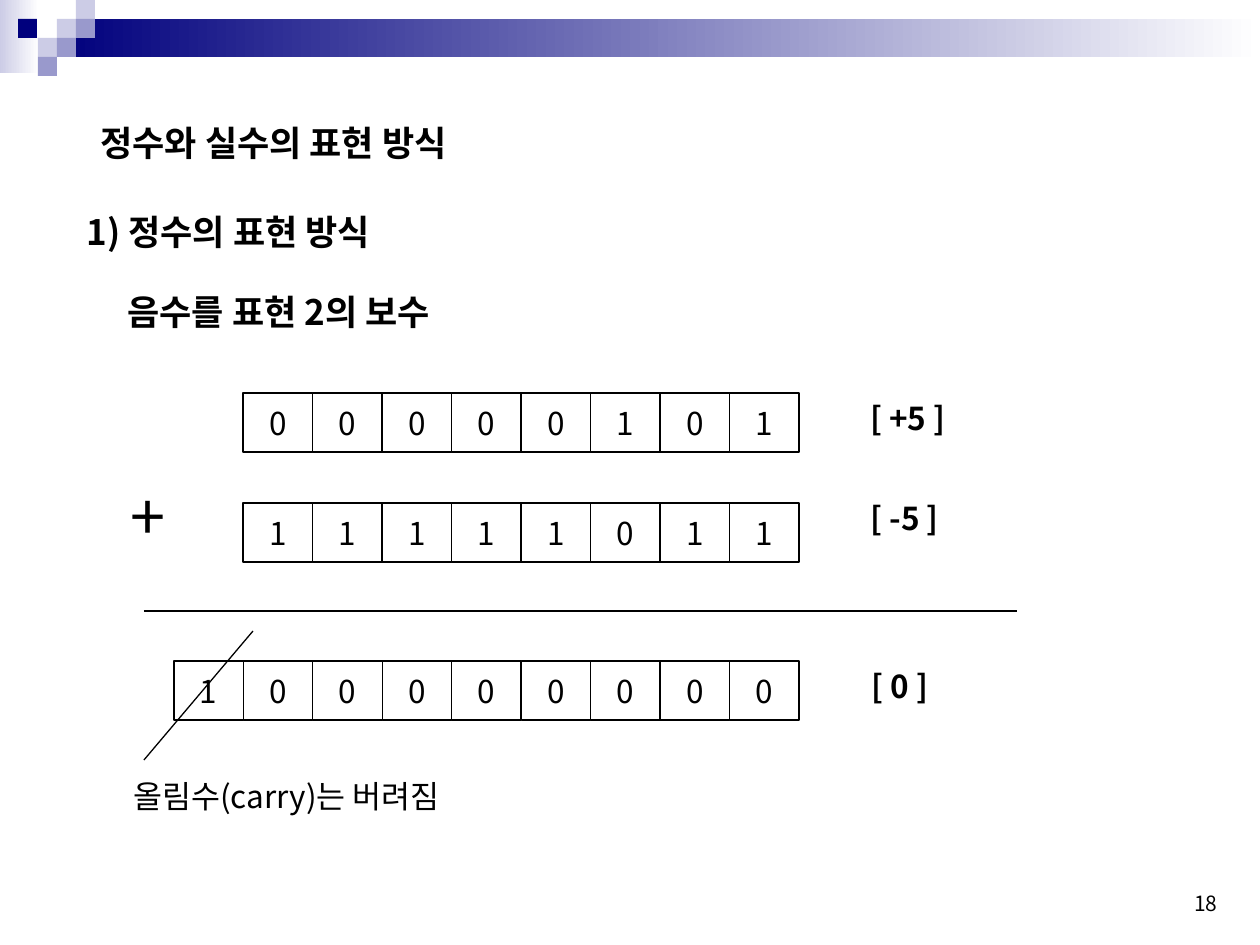
from lxml import etree
from pptx import Presentation
from pptx.dml.color import RGBColor
from pptx.enum.shapes import MSO_CONNECTOR, MSO_SHAPE
from pptx.enum.text import MSO_ANCHOR, MSO_AUTO_SIZE, PP_ALIGN
from pptx.oxml.ns import qn
from pptx.util import Pt

RECT = MSO_SHAPE.RECTANGLE
LINE = MSO_CONNECTOR.STRAIGHT
TOP, MID, LOW = MSO_ANCHOR.TOP, MSO_ANCHOR.MIDDLE, MSO_ANCHOR.BOTTOM
LEFT, MIDST, RIGHT = PP_ALIGN.LEFT, PP_ALIGN.CENTER, PP_ALIGN.RIGHT
GROW, FIXED = MSO_AUTO_SIZE.SHAPE_TO_FIT_TEXT, MSO_AUTO_SIZE.NONE

FONT = "Noto Sans CJK KR"
HUES = {"ink": "000000", "paper": "FFFFFF", "navy": "00007D",
        "mid": "9999CC", "pale": "CCCCE6"}
PX = 914400 / 126


def emu(px):
    return round(px * PX)


def hue(name):
    return RGBColor.from_string(HUES[name])


class Board:
    def __init__(self, slide):
        self.slide = slide
        self.shapes = slide.shapes

    def rect(self, box, fill, fade=None, edge=None):
        shape = self.shapes.add_shape(RECT, *map(emu, box))
        shape.shadow.inherit = False
        if fade:
            shape.fill.gradient()
            shape.fill.gradient_angle = 0
            for stop, name in zip(shape.fill.gradient_stops, (fill, fade)):
                stop.color.rgb = hue(name)
        else:
            shape.fill.solid()
            shape.fill.fore_color.rgb = hue(fill)
        if edge:
            shape.line.color.rgb = hue(edge)
            shape.line.width = Pt(0.75)
        else:
            shape.line.fill.background()
        return shape

    def text(self, shape, words, size, bold=False, align=LEFT, anchor=TOP):
        frame = shape.text_frame
        frame.vertical_anchor = anchor
        para = frame.paragraphs[0]
        para.alignment = align
        run = para.add_run()
        run.text = words
        font = run.font
        font.size, font.bold, font.name = Pt(size), bold, FONT
        font.color.rgb = hue("ink")
        east = etree.SubElement(run._r.get_or_add_rPr(), qn("a:ea"))
        east.set("typeface", FONT)

    def label(self, box, words, size, bold=False):
        shape = self.shapes.add_textbox(*map(emu, box))
        shape.text_frame.word_wrap = False
        shape.text_frame.auto_size = GROW
        self.text(shape, words, size, bold)

    def number(self, box, words):
        shape = self.shapes.add_textbox(*map(emu, box))
        shape.text_frame.word_wrap = True
        shape.text_frame.auto_size = FIXED
        self.text(shape, words, 12, align=RIGHT, anchor=LOW)

    def bits(self, left, top, wide, digits):
        step = wide / len(digits)
        for i, digit in enumerate(digits):
            cell = self.rect((left + i * step, top, step, 59), "paper", edge="ink")
            cell.text_frame.word_wrap = False
            self.text(cell, digit, 18, align=MIDST, anchor=MID)

    def rule(self, *ends):
        line = self.shapes.add_connector(LINE, *map(emu, ends))
        line.line.color.rgb = hue("ink")
        line.line.width = Pt(0.75)
        etree.SubElement(line._element.spPr, qn("a:effectLst"))


def main():
    deck = Presentation()
    deck.slide_width, deck.slide_height = emu(1260), emu(945)
    board = Board(deck.slides.add_slide(deck.slide_layouts[6]))

    board.rect((0, 0, 39, 73), "pale", fade="paper")
    board.rect((57, 19, 1203, 38), "navy", fade="paper")
    for left, top, fill in ((57, 19, "pale"), (76, 0, "pale"), (76, 19, "mid"),
                            (38, 38, "pale"), (18, 19, "navy"),
                            (57, 38, "mid"), (38, 57, "mid")):
        board.rect((left, top, 19, 19), fill)

    board.number((907, 859, 323, 63), "18")
    board.label((88, 115, 401, 55), "정수와 실수의 표현 방식", 20, True)
    board.label((74, 204, 358, 55), "1) 정수의 표현 방식", 20, True)
    board.label((115, 284, 373, 55), "음수를 표현 2의 보수", 20, True)

    board.bits(243, 393, 556, "00000101")
    board.label((858, 393, 139, 50), "[ +5 ]", 18, True)
    board.bits(243, 503, 556, "11111011")
    board.label((858, 493, 139, 50), "[ -5 ]", 18, True)
    board.label((118, 471, 63, 88), "+", 36)
    board.rule(144, 611, 1017, 611)

    board.bits(174, 661, 625, "100000000")
    board.label((859, 661, 120, 50), "[ 0 ]", 18, True)
    board.rule(253, 631, 144, 760)
    board.label((121, 771, 392, 50), "올림수(carry)는 버려짐", 18)

    deck.save("out.pptx")


if __name__ == "__main__":
    main()
